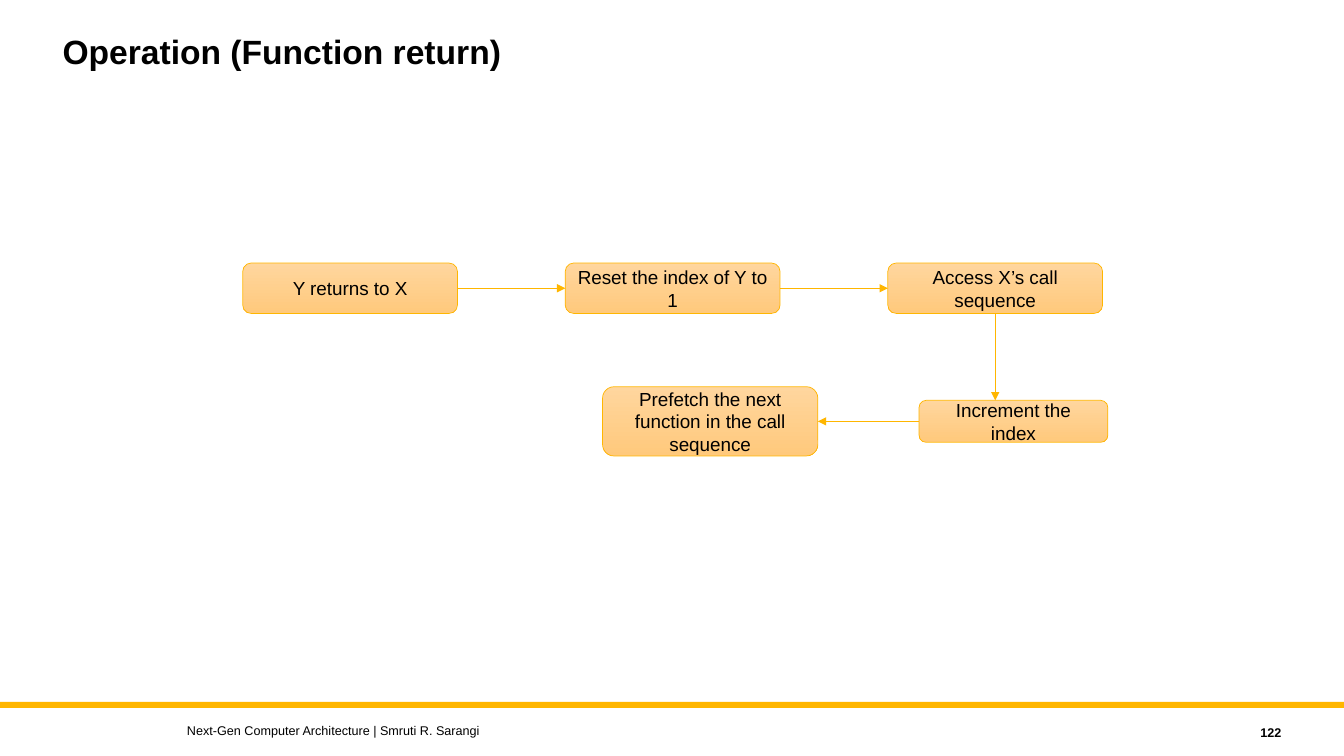
import pptx
import pptx.util
import pptx.dml.color
import pptx.enum.shapes
import pptx.enum.text
import pptx.oxml

Pt = pptx.util.Pt
SHAPE = pptx.enum.shapes.MSO_SHAPE
STRAIGHT = pptx.enum.shapes.MSO_CONNECTOR.STRAIGHT
ALIGN = pptx.enum.text.PP_ALIGN
ANCHOR = pptx.enum.text.MSO_ANCHOR

COLORS = {"gold": "FFB600", "light": "FFD69E", "deep": "FFC97C", "text": "000000"}
TOP, LEFT, BOTTOM, RIGHT = range(4)
DRAW = 'xmlns:a="http://schemas.openxmlformats.org/drawingml/2006/main"'


def color(name):
    return pptx.dml.color.RGBColor.from_string(COLORS[name])


def write(shape, text, size, align, bold=False, anchor=ANCHOR.MIDDLE):
    frame = shape.text_frame
    frame.word_wrap = True
    frame.vertical_anchor = anchor
    frame.text = text
    para = frame.paragraphs[0]
    para.alignment = align
    font = para.font
    font.name, font.size, font.bold = "Arial", Pt(size), bold
    font.color.rgb = color("text")
    return para


def add_title(slide, box, text):
    title = slide.shapes.title
    title.left, title.top, title.width, title.height = map(Pt, box)
    para = write(title, text, 24, ALIGN.LEFT, True, ANCHOR.TOP)
    para.line_spacing = 0.9


def add_step(slide, box, text):
    step = slide.shapes.add_shape(SHAPE.ROUNDED_RECTANGLE, *map(Pt, box))
    step.shadow.inherit = False
    step.fill.gradient()
    step.fill.gradient_angle = 270
    for stop, name in zip(step.fill.gradient_stops, ("light", "deep")):
        stop.color.rgb = color(name)
    step.line.color.rgb = color("gold")
    step.line.width = Pt(0.5)
    write(step, text, 13.5, ALIGN.CENTER)
    return step


def add_arrow(slide, start, side, x, y):
    """Draw an arrow from a side of the start step to the point x, y."""
    arrow = slide.shapes.add_connector(STRAIGHT, 0, 0, x, y)
    arrow.begin_connect(start, side)
    arrow.line.color.rgb = color("gold")
    arrow.line.width = Pt(0.5)
    head = pptx.oxml.parse_xml(f'<a:tailEnd {DRAW} type="triangle"/>')
    arrow.line._get_or_add_ln().append(head)
    props = arrow._element.spPr
    props.append(pptx.oxml.parse_xml(f"<a:effectLst {DRAW}/>"))
    return arrow


def join(slide, start, side, end, goal):
    arrow = add_arrow(slide, start, side, end.left, end.top)
    arrow.end_connect(end, goal)


def add_flow(slide, box):
    left, top, width, height = box
    wide, high = 153.4, 36
    pitch = (width - wide) / 2
    names = ("Y returns to X", "Reset the index of Y to 1", "Access X’s call sequence")
    row = [add_step(slide, (left + i * pitch, top, wide, high), name)
           for i, name in enumerate(names)]
    for start, end in zip(row, row[1:]):
        join(slide, start, RIGHT, end, LEFT)

    mid = top + height - 24.75
    count = add_step(slide, (left + 483.1, mid - 15, 134.8, 30), "Increment the index")
    fetch = add_step(slide, (left + 257, mid - 24.75, 153.8, 49.5),
                     "Prefetch the next function in the call sequence")
    last = row[-1]
    add_arrow(slide, last, BOTTOM, last.left + last.width // 2, count.top)
    join(slide, count, LEFT, fetch, RIGHT)


def add_footer(slide, box, text, number):
    left, top, width, height = box
    bar = slide.shapes.add_shape(SHAPE.RECTANGLE, Pt(left), Pt(top), Pt(width), Pt(4.3))
    bar.shadow.inherit = False
    bar.fill.solid()
    bar.fill.fore_color.rgb = color("gold")
    bar.line.fill.background()
    credit = slide.shapes.add_textbox(Pt(left + 126.5), Pt(top + 11.4), Pt(576), Pt(18))
    write(credit, text, 9, ALIGN.LEFT)
    page = slide.shapes.add_textbox(Pt(left + width - 138.4), Pt(top + 13), Pt(100.8), Pt(18))
    write(page, number, 9, ALIGN.RIGHT, True)


def main():
    deck = pptx.Presentation()
    deck.slide_width, deck.slide_height = Pt(960), Pt(540)
    slide = deck.slides.add_slide(deck.slide_layouts[5])
    add_title(slide, (37.5, 21.6, 720, 64.8), "Operation (Function return)")
    add_flow(slide, (173.4, 187.9, 614.2, 137.85))
    add_footer(slide, (0, 501.3, 960, 38.7),
               "Next-Gen Computer Architecture | Smruti R. Sarangi", "122")
    deck.save("out.pptx")


if __name__ == "__main__":
    main()
